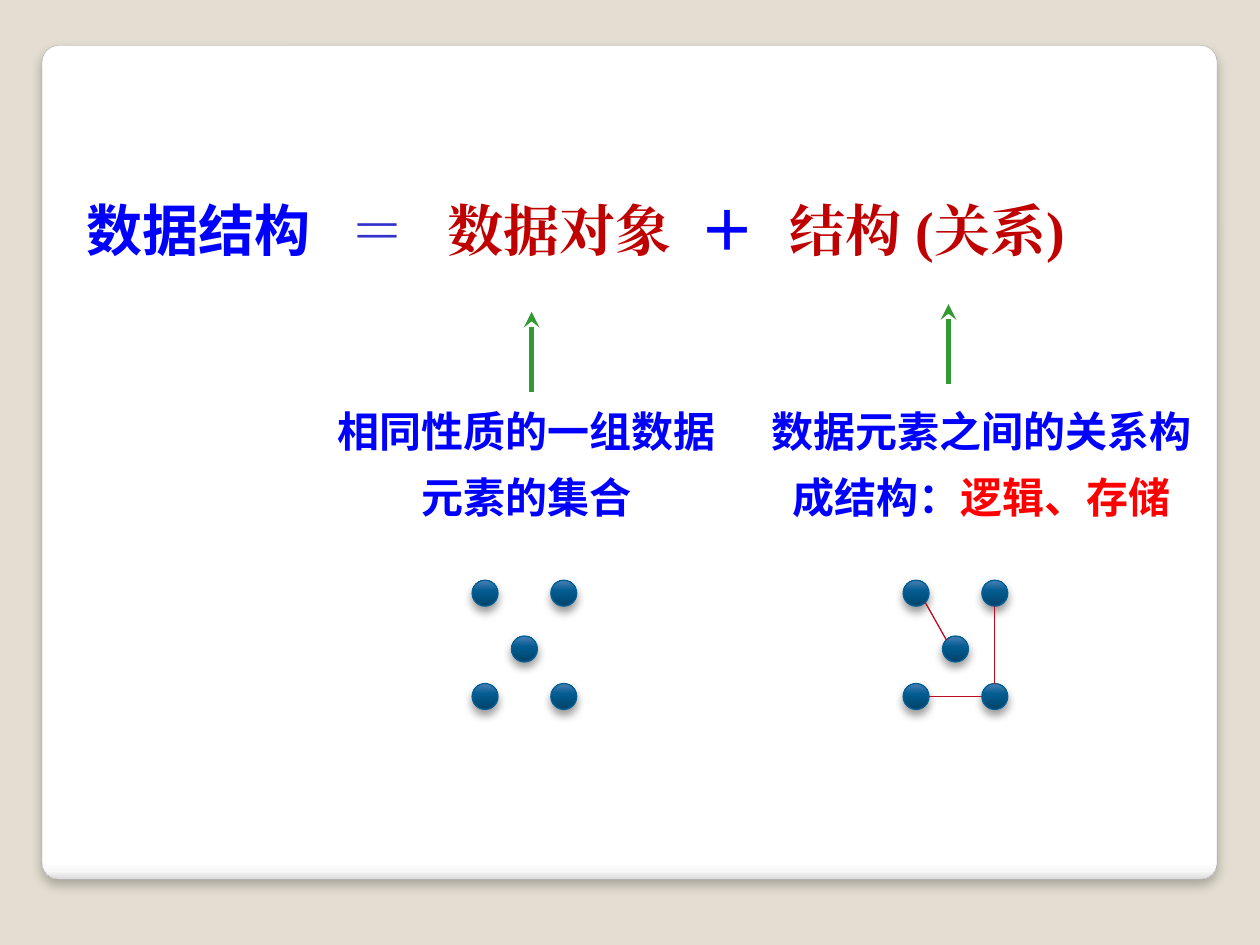
from lxml import etree
from pptx import Presentation
from pptx.dml.color import RGBColor
from pptx.enum.dml import MSO_LINE
from pptx.enum.shapes import MSO_CONNECTOR, MSO_SHAPE
from pptx.enum.text import MSO_ANCHOR, MSO_AUTO_SIZE, PP_ALIGN
from pptx.oxml.ns import qn
from pptx.util import Pt

ROUND, OVAL = MSO_SHAPE.ROUNDED_RECTANGLE, MSO_SHAPE.OVAL
STRAIGHT, SOLID = MSO_CONNECTOR.STRAIGHT, MSO_LINE.SOLID
LEFT, CENTER = PP_ALIGN.LEFT, PP_ALIGN.CENTER
TOP, GROW = MSO_ANCHOR.TOP, MSO_AUTO_SIZE.SHAPE_TO_FIT_TEXT
SANS, SERIF, MONO = "Noto Sans CJK SC", "Times New Roman", "DejaVu Sans Mono"
BLUE, DARK_RED, RED = "0000FF", "C00000", "FF0000"


def rgb(value):
    return RGBColor.from_string(value)


def set_attrs(obj, values):
    for name, value in values.items():
        setattr(obj, name, value)


def add_color(parent, value, alpha=None):
    clr = etree.SubElement(parent, qn("a:srgbClr"), val=value)
    if alpha is not None:
        etree.SubElement(clr, qn("a:alpha"), val=str(alpha * 1000))


def style_shape(sp, stops, angle, line, width, alpha, blur, dist):
    sp.fill.gradient()
    sp.fill.gradient_angle = angle
    stop_list = sp._element.spPr.find(".//" + qn("a:gsLst"))
    for old in list(stop_list):
        stop_list.remove(old)
    for pos, value in stops:
        add_color(etree.SubElement(stop_list, qn("a:gs"), pos=str(pos * 1000)), value)
    sp.line.color.rgb = rgb(line)
    sp.line.width = Pt(width)
    sp.shadow.inherit = False
    effects = sp._element.spPr.find(qn("a:effectLst"))
    shadow = etree.SubElement(effects, qn("a:outerShdw"), blurRad=str(Pt(blur)),
                              dist=str(Pt(dist)), dir="5400000", rotWithShape="0")
    add_color(shadow, "000000", alpha)


def add_line(s, x1, y1, x2, y2, color, width, arrow=False):
    line = s.shapes.add_connector(STRAIGHT, Pt(x1), Pt(y1), Pt(x2), Pt(y2))
    line.line.color.rgb = rgb(color)
    line.line.width = Pt(width)
    line.line.dash_style = SOLID
    if arrow:
        etree.SubElement(line.line._get_or_add_ln(), qn("a:tailEnd"), type="stealth")
    etree.SubElement(line._element.spPr, qn("a:effectLst"))


def add_run(p, text, size, color, latin, east_asian):
    r = p.add_run()
    r.text = text
    set_attrs(r.font, {"size": Pt(size), "bold": True, "name": latin})
    r.font.color.rgb = rgb(color)
    etree.SubElement(r._r.get_or_add_rPr(), qn("a:ea"), typeface=east_asian)


def add_card(s, x, y, w, h):
    sp = s.shapes.add_shape(ROUND, Pt(x), Pt(y), Pt(w), Pt(h))
    sp.adjustments[0] = 0.02
    stops = [(0, "FFFFFF"), (98, "FFFFFF"), (99, "F7F7F7"), (100, "DADADA")]
    style_shape(sp, stops, 270, "A4A4A4", 0.16, 25, 6, 4)
    s.shapes._spTree.insert(2, sp._element)


def add_formula(s, x, y, w, h):
    sp = s.shapes.title
    set_attrs(sp, {"left": Pt(x), "top": Pt(y), "width": Pt(w), "height": Pt(h)})
    tf = sp.text_frame
    set_attrs(tf, {"margin_left": Pt(7.2), "margin_right": Pt(7.2), "margin_top": Pt(5.76),
                   "margin_bottom": 0, "vertical_anchor": TOP, "word_wrap": True,
                   "auto_size": GROW})
    p = tf.paragraphs[0]
    p.alignment = LEFT
    set_attrs(p, {"line_spacing": 1.0})
    pPr = p._p.get_or_add_pPr()
    pPr.set("marL", str(Pt(36)))
    pPr.set("indent", str(Pt(-36)))
    for text, color, font in [("数据结构   ", BLUE, SANS), ("＝   ", "3333CC", SERIF),
                              ("数据对象  ", DARK_RED, SERIF), ("＋ ", BLUE, MONO),
                              ("结构 (关系)", DARK_RED, SERIF)]:
        add_run(p, text, 32, color, SERIF, font)


def add_caption(s, x, y, w, h, runs):
    tf = s.shapes.add_textbox(Pt(x), Pt(y), Pt(w), Pt(h)).text_frame
    set_attrs(tf, {"word_wrap": True, "auto_size": GROW})
    p = tf.paragraphs[0]
    set_attrs(p, {"alignment": CENTER, "line_spacing": 1.3})
    for text, color in runs:
        add_run(p, text, 24, color, SANS, SANS)


def add_dots(s, x, y, w, h, linked=False):
    d = 14.8
    right, bottom = x + w - d, y + h - d
    spots = {"top_left": (x, y), "top_right": (right, y),
             "middle": ((x + right) / 2, y + 31.9),
             "bottom_left": (x, bottom), "bottom_right": (right, bottom)}
    stops = [(0, "00436A"), (60, "035C91"), (100, "4A80B7")]
    for left, top in spots.values():
        sp = s.shapes.add_shape(OVAL, Pt(left), Pt(top), Pt(d), Pt(d))
        style_shape(sp, stops, 90, "035E94", 0.75, 40, 5.2, 3)
    if not linked:
        return

    def edge(name, fx, fy):
        left, top = spots[name]
        return left + fx * d, top + fy * d

    for start, end in [(edge("top_left", 0.85, 0.85), edge("middle", 0.15, 0.15)),
                       (edge("bottom_left", 1, 0.5), edge("bottom_right", 0, 0.5)),
                       (edge("top_right", 0.5, 1), edge("bottom_right", 0.5, 0))]:
        add_line(s, *start, *end, "BC0B1F", 0.75)


def main():
    prs = Presentation()
    prs.slide_width, prs.slide_height = Pt(720), Pt(540)
    s = prs.slides.add_slide(prs.slide_layouts[5])
    s.background.fill.solid()
    s.background.fill.fore_color.rgb = rgb("E3DED1")
    add_card(s, 24, 26, 671.5, 476.5)
    add_formula(s, 42.5, 105.8, 617.8, 44.6)
    for x, y in [(303.8, 223.8), (542, 219.4)]:
        add_line(s, x, y, x, y - 45.6, "339933", 3, arrow=True)
    add_caption(s, 427.7, 219.6, 266.4, 77.8,
                [("数据元素之间的关系构成结构：", BLUE), ("逻辑、存储", RED)])
    add_caption(s, 178.6, 219.6, 244.1, 82.8, [("相同性质的一组数据元素的集合", BLUE)])
    add_dots(s, 269.8, 331.6, 59.8, 73.8)
    add_dots(s, 516.1, 331.6, 59.8, 73.8, linked=True)
    prs.save("out.pptx")


if __name__ == "__main__":
    main()
